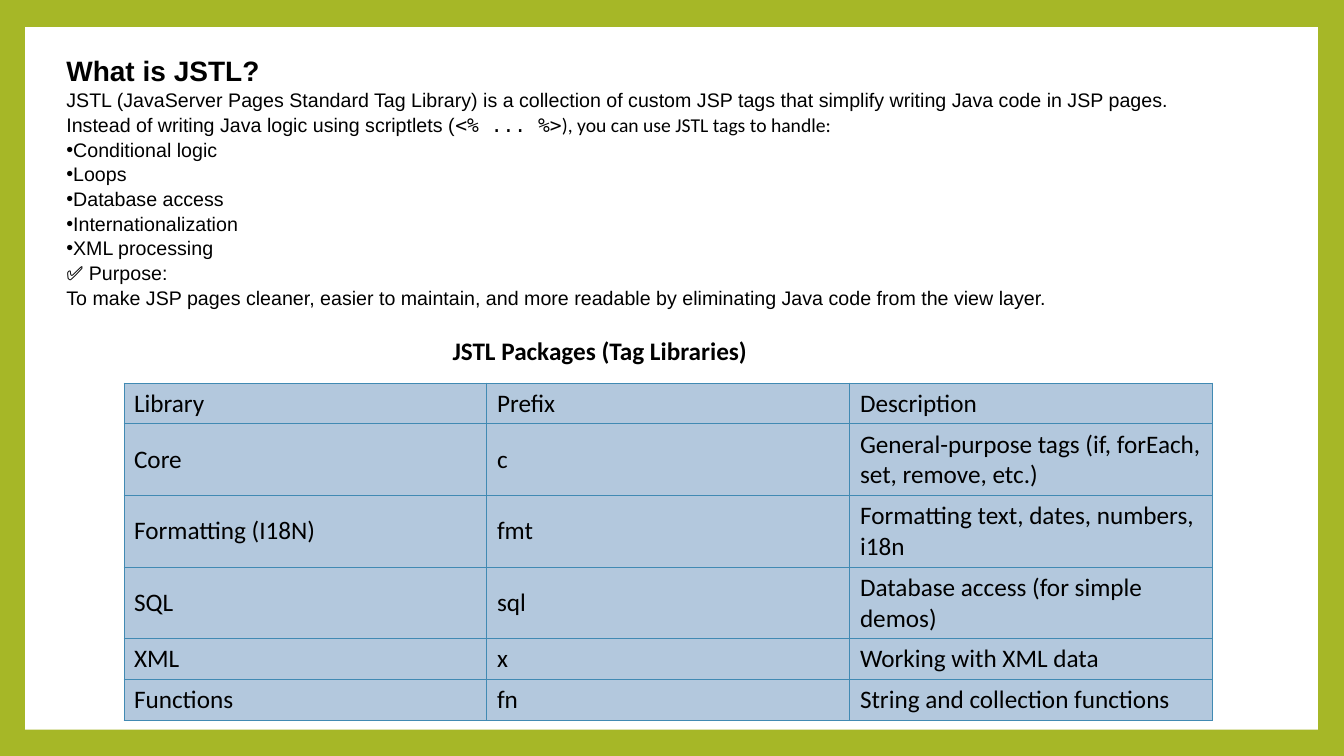
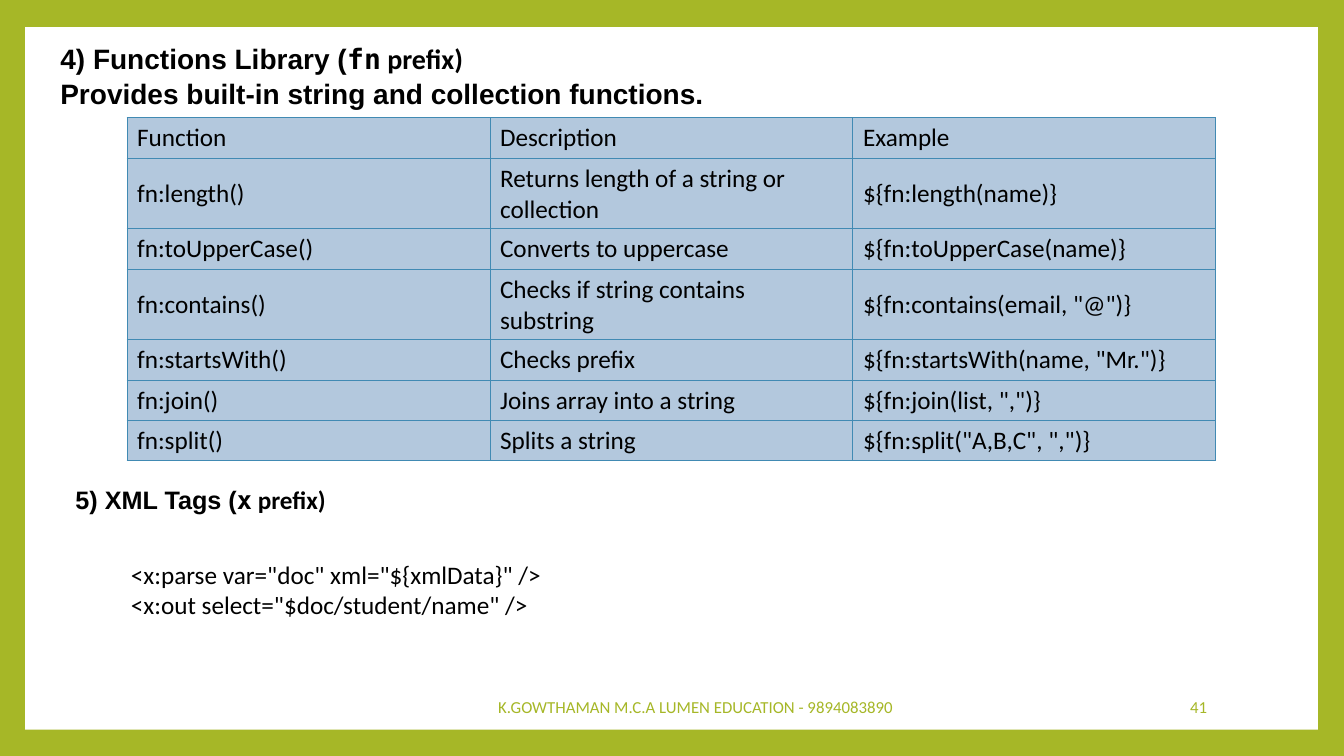
"""Builds two slides on JSTL: its packages, and its function and XML tags."""
from dataclasses import dataclass

from lxml import etree
from pptx import Presentation
from pptx.dml.color import RGBColor
from pptx.enum.shapes import MSO_SHAPE
from pptx.enum.text import MSO_ANCHOR, PP_ALIGN
from pptx.oxml.ns import qn
from pptx.util import Pt

PX = 9144
RECTANGLE = MSO_SHAPE.RECTANGLE
TOP, MIDDLE = MSO_ANCHOR.TOP, MSO_ANCHOR.MIDDLE
LEFT, CENTER, RIGHT = PP_ALIGN.LEFT, PP_ALIGN.CENTER, PP_ALIGN.RIGHT


@dataclass(frozen=True)
class Theme:
    frame: str = "A6B727"
    panel: str = "FFFFFF"
    ink: str = "000000"
    cell: str = "B3C8DD"
    border: str = "418AB3"
    sans: str = "Arial"
    body: str = "Calibri"
    mono: str = "DejaVu Sans Mono"
    heading: int = 20
    large: int = 18
    text: int = 14
    footer: int = 12
    border_width: float = 0.79
    sans_spacing: float = 1.05


theme = Theme()


def write(frame, lines, size=theme.large, font=theme.body, bold=False,
          color=theme.ink, align=LEFT, anchor=TOP, spacing=1.0, bullet=False):
    """Append lines to a text frame; a line is a string or a list of (text, font)."""
    frame.word_wrap = True
    frame.vertical_anchor = anchor
    for line in lines:
        first = frame.paragraphs[0]
        para = frame.add_paragraph() if first.runs else first
        para.alignment = align
        para.line_spacing = spacing
        if bullet:
            properties = para._p.get_or_add_pPr()
            properties.set("marL", "0")
            properties.set("indent", "0")
            etree.SubElement(properties, qn("a:buFont"), typeface=theme.sans)
            etree.SubElement(properties, qn("a:buChar"), char="•")
        for text, typeface in [(line, font)] if isinstance(line, str) else line:
            span = para.add_run()
            span.text = text
            span.font.name = typeface
            span.font.size = Pt(size)
            span.font.bold = bold
            span.font.color.rgb = RGBColor.from_string(color)


def add_box(page, left, top, width, height):
    """Add an empty text box and return its text frame."""
    box = page.shapes.add_textbox(left * PX, top * PX, width * PX, height * PX)
    return box.text_frame


deck = Presentation()
deck.slide_width, deck.slide_height = 1333 * PX, 750 * PX
background = deck.slide_master.background.fill
background.solid()
background.fore_color.rgb = RGBColor.from_string(theme.frame)

package_rows = [
    ("Library", "Prefix", "Description"),
    ("Core", "c", "General-purpose tags (if, forEach, set, remove, etc.)"),
    ("Formatting (I18N)", "fmt", "Formatting text, dates, numbers, i18n"),
    ("SQL", "sql", "Database access (for simple demos)"),
    ("XML", "x", "Working with XML data"),
    ("Functions", "fn", "String and collection functions"),
]
function_rows = [
    ("Function", "Description", "Example"),
    ("fn:length()", "Returns length of a string or collection", "${fn:length(name)}"),
    ("fn:toUpperCase()", "Converts to uppercase", "${fn:toUpperCase(name)}"),
    ("fn:contains()", "Checks if string contains substring", '${fn:contains(email, "@")}'),
    ("fn:startsWith()", "Checks prefix", '${fn:startsWith(name, "Mr.")}'),
    ("fn:join()", "Joins array into a string", '${fn:join(list, ",")}'),
    ("fn:split()", "Splits a string", '${fn:split("A,B,C", ",")}'),
]
tables = [
    (123, 380, package_rows, (40, 70, 70, 70, 40, 40)),
    (126, 117, function_rows, (40, 70, 40, 70, 40, 40, 40)),
]

pages = []
for left, top, rows, heights in tables:
    page = deck.slides.add_slide(deck.slide_layouts[6])
    pages.append(page)
    panel = page.shapes.add_shape(RECTANGLE, 25 * PX, 27 * PX, 1282 * PX, 697 * PX)
    panel.shadow.inherit = False
    panel.fill.solid()
    panel.fill.fore_color.rgb = RGBColor.from_string(theme.panel)
    panel.line.fill.background()

    table = page.shapes.add_table(len(rows), 3, left * PX, top * PX,
                                  1080 * PX, sum(heights) * PX).table
    table.first_row = table.horz_banding = False
    for row, height, texts in zip(table.rows, heights, rows):
        row.height = height * PX
        for cell, text in zip(row.cells, texts):
            write(cell.text_frame, [text])
            cell.vertical_anchor = MIDDLE
            properties = cell._tc.get_or_add_tcPr()
            for side in ("a:lnL", "a:lnR", "a:lnT", "a:lnB"):
                edge = etree.SubElement(properties, qn(side), w=str(Pt(theme.border_width)))
                paint = etree.SubElement(edge, qn("a:solidFill"))
                etree.SubElement(paint, qn("a:srgbClr"), val=theme.border)
            cell.fill.solid()
            cell.fill.fore_color.rgb = RGBColor.from_string(theme.cell)

packages, functions = pages
sans = dict(font=theme.sans, anchor=MIDDLE, spacing=theme.sans_spacing)

intro = add_box(packages, 56, 51, 1230, 256)
write(intro, ["What is JSTL?"], size=theme.heading, bold=True, **sans)
write(intro, [
    "JSTL (JavaServer Pages Standard Tag Library) is a collection of custom JSP tags "
    "that simplify writing Java code in JSP pages.",
    [("Instead of writing Java logic using scriptlets (", theme.sans),
     ("<% ... %>", theme.mono),
     ("), you can use JSTL tags to handle:", theme.body)],
], size=theme.text, **sans)
write(intro, ["Conditional logic", "Loops", "Database access", "Internationalization",
              "XML processing"], size=theme.text, bullet=True, **sans)
write(intro, [
    "✅ Purpose:",
    "To make JSP pages cleaner, easier to maintain, and more readable "
    "by eliminating Java code from the view layer.",
], size=theme.text, **sans)
write(add_box(packages, 439, 328, 340, 40), ["JSTL Packages (Tag Libraries)"], bold=True)

write(add_box(functions, 50, 36, 787, 77), [
    [("4) Functions Library (", theme.sans), ("fn", theme.mono), (" prefix)", theme.body)],
    "Provides built-in string and collection functions.",
], size=theme.heading, bold=True, **sans)
write(add_box(functions, 65, 475, 300, 40), [
    [("5) XML Tags (", theme.sans), ("x", theme.mono), (" prefix)", theme.body)],
], bold=True, **sans)
write(add_box(functions, 120, 550, 667, 71), [
    '<x:parse var="doc" xml="${xmlData}" />',
    '<x:out select="$doc/student/name" />',
])

footer = dict(size=theme.footer, color=theme.frame, anchor=MIDDLE)
write(add_box(functions, 432, 681, 516, 40),
      ["K.GOWTHAMAN M.C.A LUMEN EDUCATION - 9894083890"], align=CENTER, **footer)
write(add_box(functions, 1020, 681, 187, 40), ["41"], align=RIGHT, **footer)

deck.save("out.pptx")
